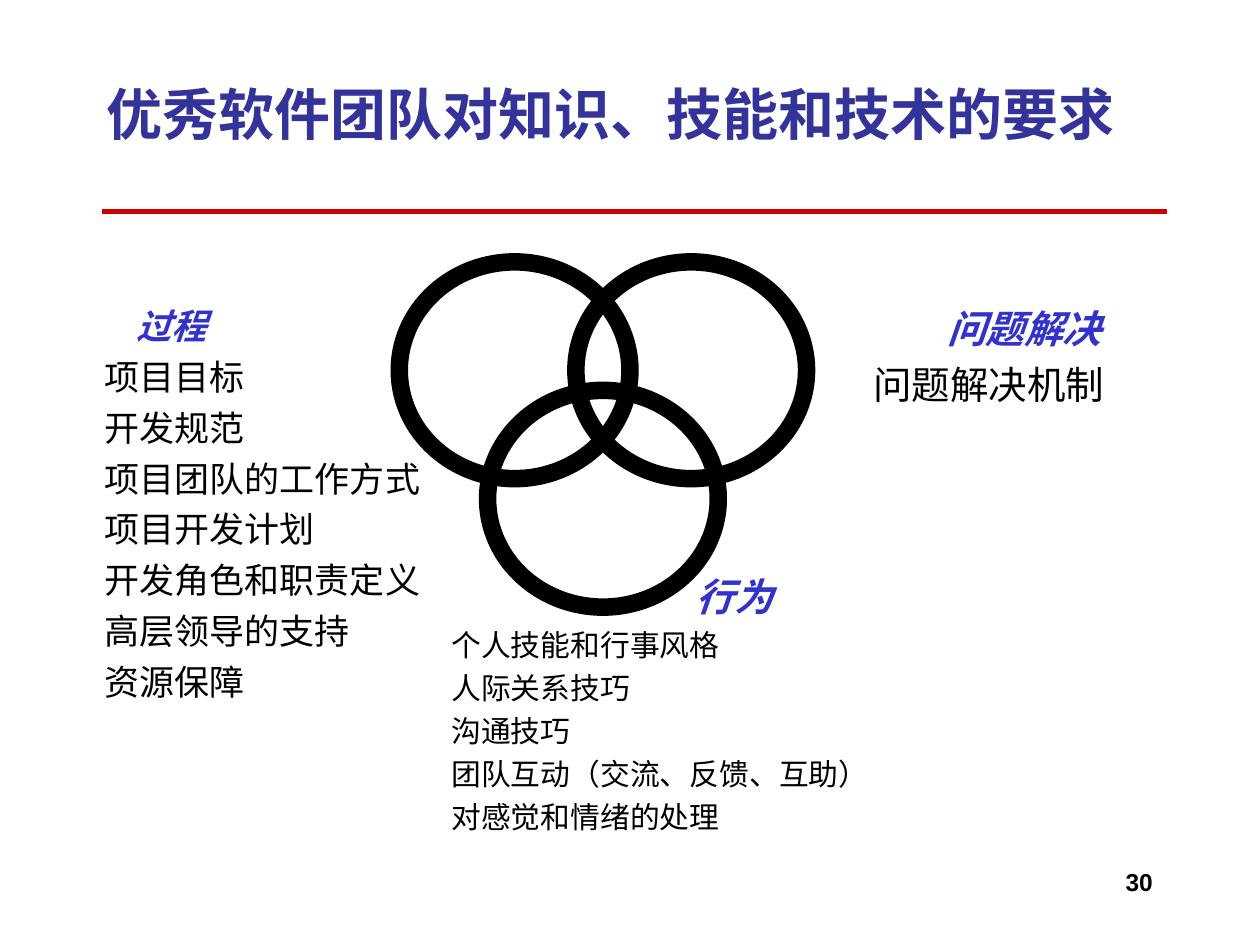
from dataclasses import dataclass

from lxml.etree import SubElement
from pptx import Presentation
from pptx.dml.color import RGBColor
from pptx.enum.shapes import MSO_CONNECTOR, MSO_SHAPE
from pptx.enum.text import MSO_ANCHOR as Anchor, PP_ALIGN as Align
from pptx.oxml.ns import qn
from pptx.util import Cm, Pt


@dataclass(frozen=True)
class Theme:
    """Colours, fonts and type sizes of the slide."""
    title: RGBColor = RGBColor(0x33, 0x33, 0x99)
    heading: RGBColor = RGBColor(0x33, 0x33, 0xCC)
    ink: RGBColor = RGBColor(0, 0, 0)
    rule: RGBColor = RGBColor(0xCC, 0, 0)
    cjk: str = "Noto Sans CJK SC"
    process_font: str = "DejaVu Sans"
    number_font: str = "Arial"
    title_size: float = 32
    large: float = 22
    medium: float = 20
    small: float = 17
    number_size: float = 14


THEME = Theme()


def style(paragraph, size, color, font=THEME.cjk, bold=False, italic=False):
    """Set the type of a paragraph, for Latin and East Asian text alike."""
    face = paragraph.font
    face.size, face.name = Pt(size), font
    face.bold, face.italic = bold, italic
    face.color.rgb = color
    for run in paragraph.runs:
        run_props = run.font
        run_props.name = font
        SubElement(run_props._element, qn("a:ea"), typeface=font)


def add_text(slide, box, anchor=Anchor.TOP):
    """Add an empty wrapping text box and return its frame."""
    frame = slide.shapes.add_textbox(*map(Cm, box)).text_frame
    frame.word_wrap = True
    frame.vertical_anchor = anchor
    return frame


def add_title(slide, box, text):
    """Place the title in its box."""
    title = add_text(slide, box, Anchor.MIDDLE).paragraphs[0]
    title.text = text
    style(title, THEME.title_size, THEME.title, bold=True)


def add_rule(slide, left, top, width):
    """Draw the red rule below the title."""
    rule = slide.shapes.add_connector(
        MSO_CONNECTOR.STRAIGHT, Cm(left), Cm(top), Cm(left + width), Cm(top))
    rule.line.color.rgb = THEME.rule
    rule.line.width = Pt(3)
    SubElement(rule._element.spPr, qn("a:effectLst"))


def add_topic(slide, box, heading, items, size, heading_size=None,
              font=THEME.cjk, heading_align=Align.CENTER, heading_indent=0):
    """Place a coloured heading with its list of items below."""
    frame = add_text(slide, box)
    for index, text in enumerate([heading, *items]):
        is_heading = index == 0
        line = frame.add_paragraph() if index else frame.paragraphs[0]
        line.text = text
        line_size = heading_size or size if is_heading else size
        style(line, line_size, THEME.heading if is_heading else THEME.ink,
              font, bold=is_heading, italic=is_heading)
        line.alignment = heading_align if is_heading else Align.LEFT
        line.space_before = Pt(line_size / 4)
        line.line_spacing = Pt(round(line_size * 1.2, 1))
        margin = 0.13 + (heading_indent if is_heading else 0)
        props = line._p.get_or_add_pPr()
        props.set("marL", str(Cm(margin)))
        props.set("indent", str(Cm(0.03)))


def add_rings(slide, left, top, width, height, step, drop):
    """Draw three overlapping rings, the middle one lower."""
    rings = slide.shapes.add_group_shape().shapes
    for index in range(3):
        ring = rings.add_shape(
            MSO_SHAPE.OVAL, Cm(left + index * step),
            Cm(top + index % 2 * drop), Cm(width), Cm(height))
        ring.shadow.inherit = False
        ring.fill.background()
        ring.line.color.rgb = THEME.ink
        ring.line.width = Pt(10)


def add_page_number(slide, box, number):
    """Place the page number at the right of its box."""
    page = add_text(slide, box).paragraphs[0]
    page.text = number
    page.alignment = Align.RIGHT
    style(page, THEME.number_size, THEME.ink, THEME.number_font, bold=True)


def main():
    """Build and save the slide."""
    deck = Presentation()
    deck.slide_width, deck.slide_height = Cm(25.4), Cm(19.05)
    slide = deck.slides.add_slide(deck.slide_layouts[6])

    add_rule(slide, 2.06, 4.27, 21.46)
    add_page_number(slide, (18.21, 17.35, 5.28, 1.27), "30")
    add_title(slide, (1.9, 1.09, 21.6, 2.39),
              "优秀软件团队对知识、技能和技术的要求")
    add_topic(slide, (1.7, 6.02, 7.19, 8.1), "过程",
              ["项目目标", "开发规范", "项目团队的工作方式", "项目开发计划",
               "开发角色和职责定义", "高层领导的支持", "资源保障"],
              THEME.medium, font=THEME.process_font,
              heading_align=Align.LEFT, heading_indent=0.64)
    add_topic(slide, (8.69, 11.43, 12.07, 4.88), "行为",
              ["个人技能和行事风格", "人际关系技巧", "沟通技巧",
               "团队互动（交流、反馈、互助）", "对感觉和情绪的处理"],
              THEME.small, heading_size=THEME.large)
    add_topic(slide, (17.2, 6.02, 6.73, 6.5), "问题解决",
              ["问题解决机制"], THEME.large)
    add_rings(slide, 8.05, 5.28, 4.65, 4.37, step=1.78, drop=2.59)
    deck.save("out.pptx")


if __name__ == "__main__":
    main()
